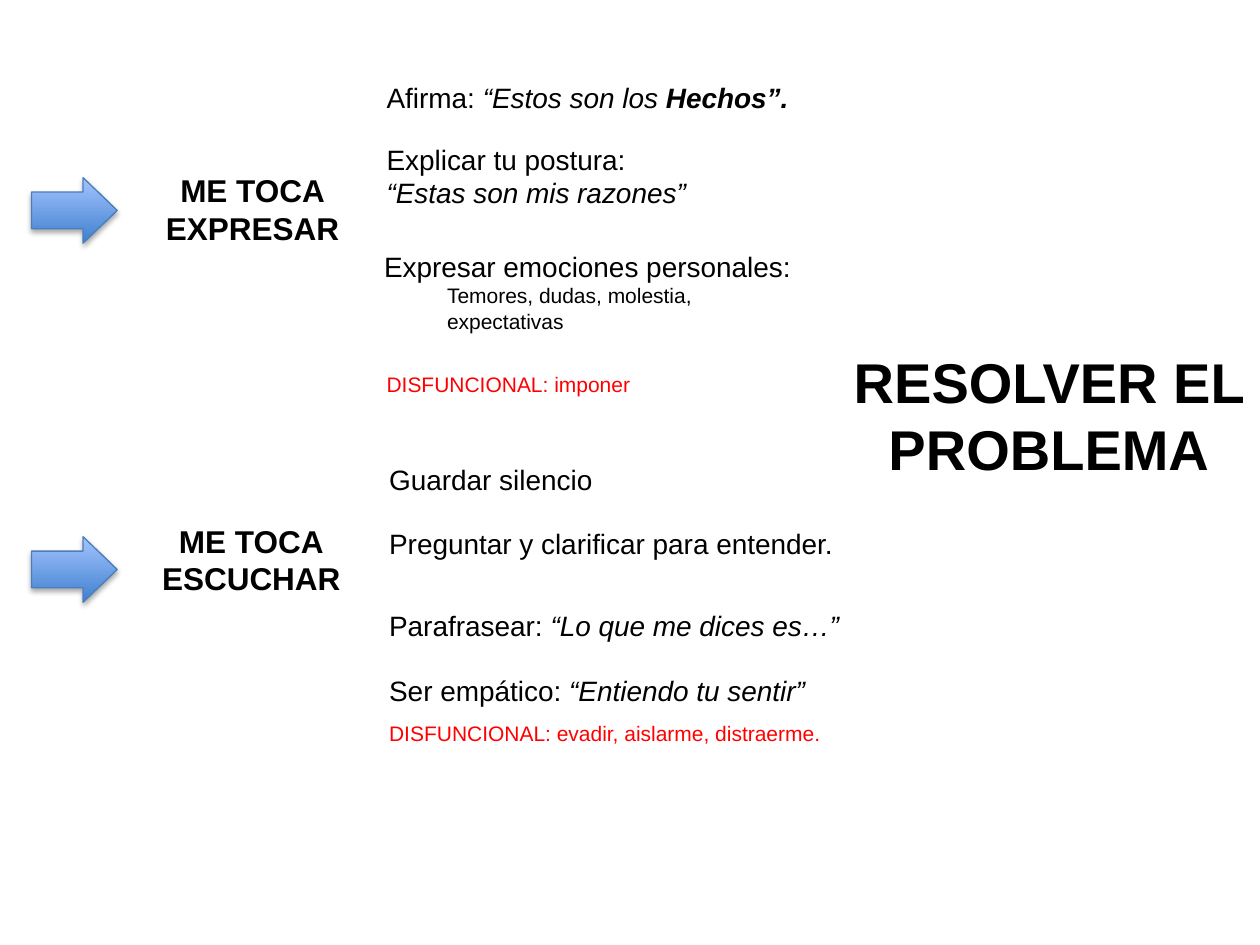
from lxml.etree import fromstring
from pptx import Presentation
from pptx.dml.color import RGBColor
from pptx.enum.shapes import MSO_SHAPE
from pptx.enum.text import MSO_ANCHOR, MSO_AUTO_SIZE, PP_ALIGN
from pptx.util import Inches, Pt

FONT = "Arial"
BLACK, RED = "000000", "FF0000"
ARROW_LINE, ARROW_DARK, ARROW_LIGHT = "4B7EBC", "3F80CE", "A4C4FF"
SOFT_SHADOW = (
    '<a:effectLst xmlns:a="http://schemas.openxmlformats.org/drawingml/2006/main">'
    '<a:outerShdw blurRad="40000" dist="23000" dir="5400000" rotWithShape="0">'
    '<a:srgbClr val="000000"><a:alpha val="35000"/></a:srgbClr>'
    "</a:outerShdw></a:effectLst>"
)


def rgb(value):
    return RGBColor.from_string(value)


class Board:
    """Text style and the slide being filled."""

    def __init__(self, deck):
        self.slide = deck.slides.add_slide(deck.slide_layouts[5])

    def group(self):
        return self.slide.shapes.add_group_shape().shapes

    def fill_text(self, frame, paragraphs, size, color, align):
        """Each paragraph is a list of (text, style) runs; style holds b, i or > (sub-line)."""
        for index, runs in enumerate(paragraphs):
            paragraph = frame.add_paragraph() if index else frame.paragraphs[0]
            paragraph.alignment = align
            for text, style in runs:
                run = paragraph.add_run()
                run.text = text
                font = run.font
                font.name = FONT
                font.size = Pt(12 if ">" in style else size)
                font.bold = "b" in style
                font.italic = "i" in style
                font.color.rgb = rgb(color)
                if ">" in style:
                    paragraph.level = 1

    def text(self, shapes, place, paragraphs, size=16, color=BLACK,
             align=PP_ALIGN.LEFT, wrap=False):
        frame = shapes.add_textbox(*map(Inches, place)).text_frame
        frame.word_wrap = wrap
        frame.auto_size = MSO_AUTO_SIZE.SHAPE_TO_FIT_TEXT
        self.fill_text(frame, paragraphs, size, color, align)

    def title(self, place, text):
        title = self.slide.shapes.title
        title.left, title.top, title.width, title.height = map(Inches, place)
        frame = title.text_frame
        frame.word_wrap = True
        frame.auto_size = MSO_AUTO_SIZE.SHAPE_TO_FIT_TEXT
        frame.vertical_anchor = MSO_ANCHOR.TOP
        self.fill_text(frame, [[(text, "b")]], 32, BLACK, PP_ALIGN.CENTER)

    def arrow(self, shapes, top):
        arrow = shapes.add_shape(MSO_SHAPE.RIGHT_ARROW, Inches(0.25), Inches(top),
                                 Inches(0.68), Inches(0.52))
        arrow.adjustments[0], arrow.adjustments[1] = 0.56, 0.52
        arrow.fill.gradient()
        arrow.fill.gradient_angle = 90
        for stop, color in zip(arrow.fill.gradient_stops, (ARROW_DARK, ARROW_LIGHT)):
            stop.color.rgb = rgb(color)
        arrow.line.color.rgb = rgb(ARROW_LINE)
        arrow.line.width = Pt(0.75)
        arrow.element.spPr.append(fromstring(SOFT_SHADOW))

    def turn(self, arrow_top, heading_place, heading, steps, warning_place, warning):
        """One group: arrow, heading, steps and the red warning."""
        shapes = self.group()
        self.arrow(shapes, arrow_top)
        self.text(shapes, heading_place, [[(line, "b")] for line in heading], 18,
                  align=PP_ALIGN.CENTER)
        for place, paragraphs in steps:
            self.text(shapes, place, paragraphs)
        self.text(shapes, warning_place, [[(warning, "")]], 12, RED)


def main():
    deck = Presentation()
    deck.slide_width, deck.slide_height = Inches(10), Inches(7.5)
    board = Board(deck)

    express_steps = [
        ((2.97, 0.59, 3.43, 0.37),
         [[("Afirma: ", ""), ("“Estos son los ", "i"), ("Hechos”.", "bi")]]),
        ((2.97, 1.08, 3.17, 0.64),
         [[("Explicar tu postura:", "")], [("“Estas son mis razones”", "i")]]),
        ((2.95, 1.93, 3.47, 0.77),
         [[("Expresar emociones personales:", "")],
          [("Temores, dudas, molestia,", ">")], [("expectativas", ">")]]),
    ]
    board.turn(1.41, (1.21, 1.31, 1.59, 0.71), ("ME TOCA", "EXPRESAR"), express_steps,
               (2.97, 2.9, 2.16, 0.3), "DISFUNCIONAL: imponer")

    listen_steps = [
        ((2.99, 3.62, 1.84, 0.37), [[("Guardar silencio", "")]]),
        ((2.99, 4.13, 3.83, 0.37), [[("Preguntar y clarificar para entender.", "")]]),
        ((2.99, 4.78, 4, 0.37),
         [[("Parafrasear: ", ""), ("“Lo que me dices es…”", "i")]]),
        ((2.99, 5.3, 3.72, 0.37),
         [[("Ser empático: ", ""), ("“Entiendo tu sentir”", "i")]]),
    ]
    board.turn(4.26, (1.18, 4.09, 1.63, 0.71), ("ME TOCA", "ESCUCHAR"), listen_steps,
               (2.99, 5.67, 3.66, 0.3), "DISFUNCIONAL: evadir, aislarme, distraerme.")

    board.title((6.65, 2.71, 3.35, 1.18), "RESOLVER EL PROBLEMA")
    deck.save("out.pptx")


if __name__ == "__main__":
    main()
